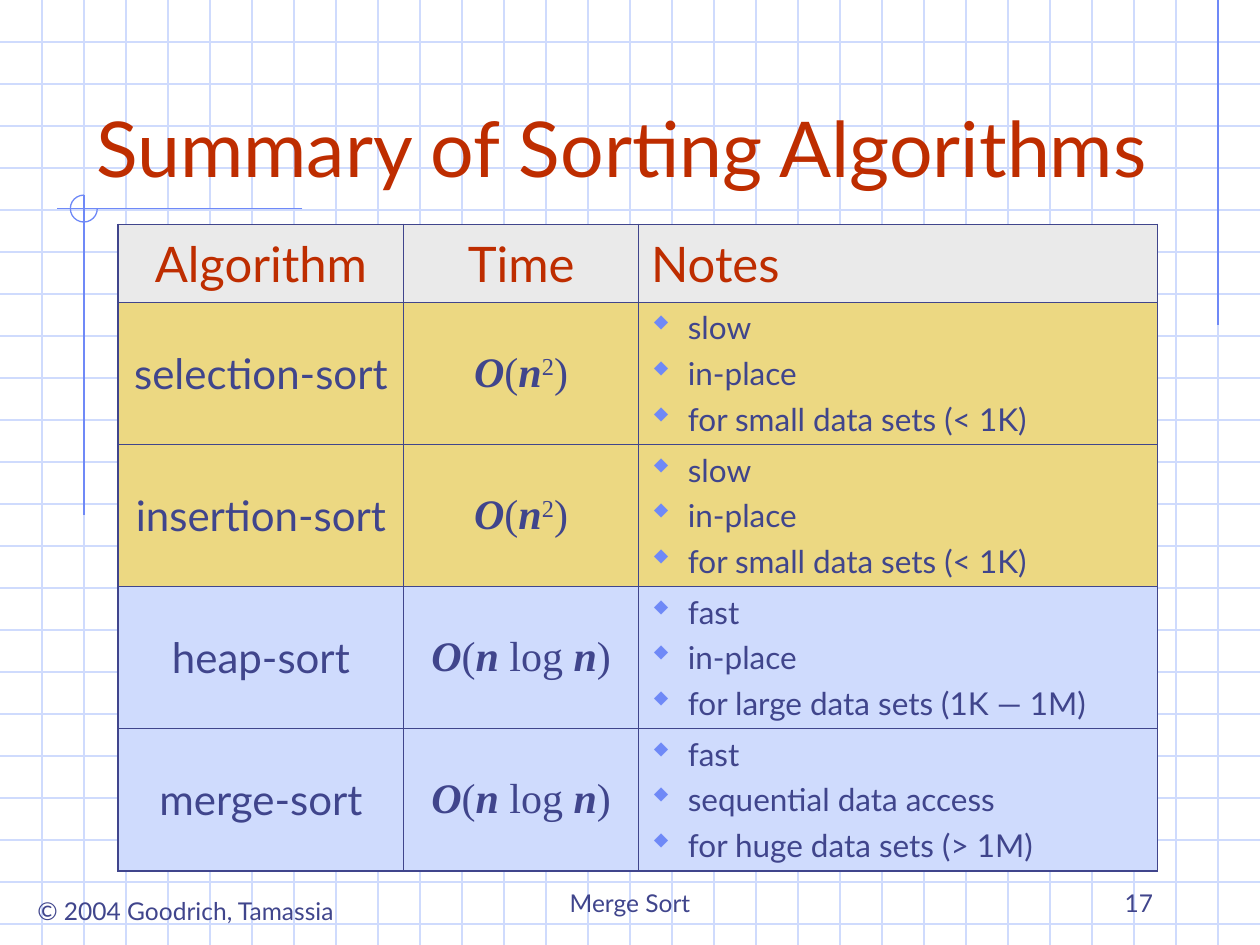
from lxml import etree
from pptx import Presentation
from pptx.dml.color import RGBColor
from pptx.enum import shapes, text
from pptx.oxml import ns
from pptx.util import Pt

INK, RED, BLUE, PALE = "40458C", "BE2D00", "6F89F7", "CFDBFD"
GRAY, GOLD = "EAEAEA", "ECD882"
SANS, SERIF, SIGNS = "Lato", "Times New Roman", "Wingdings"
DIAMOND = "w"
LEFT, MID, RIGHT = text.PP_ALIGN.LEFT, text.PP_ALIGN.CENTER, text.PP_ALIGN.RIGHT
WIDE, HIGH, STEP = 720, 540, 24
THIN, THICK = 0.45, 1.08

HEADS = [("Algorithm", MID), ("Time", MID), ("Notes", LEFT)]
SQUARE = [("O", "bold"), ("(", ""), ("n", "bold"), ("2", "super"), (")", "")]
LOG = [("O", "bold"), ("(", ""), ("n", "bold"), (" log ", ""), ("n", "bold"), (")", "")]
SORTS = [
    ("selection-sort", SQUARE, ["slow", "in-place", "for small data sets (< 1K)"], GOLD),
    ("insertion-sort", SQUARE, ["slow", "in-place", "for small data sets (< 1K)"], GOLD),
    ("heap-sort", LOG, ["fast", "in-place", "for large data sets (1K — 1M)"], PALE),
    ("merge-sort", LOG, ["fast", "sequential data access", "for huge data sets (> 1M)"], PALE),
]
COLS = [163.2, 134.2, 296.6]
ROWS = [44.6] + [81.2] * len(SORTS)
RULES = [(696, 0, 696, 186), (172.8, 119.2, 32.4, 119.2), (48, 111.6, 48, 294.5)]
LABELS = [
    ("© 2004 Goodrich, Tamassia", (8.6, 508.3, 195, 24.5), 14, INK, MID, "top"),
    ("Summary of Sorting Algorithms", (48, 24, 636, 90), 44, RED, LEFT, "bottom"),
    ("Merge Sort", (246, 492, 228, 36), 14, INK, MID, "bottom"),
    ("17", (516, 492, 150, 36), 14, INK, RIGHT, "bottom"),
]


def paint(hue):
    return RGBColor.from_string(hue)


def add(parent, tag, **attrs):
    node = etree.SubElement(parent, ns.qn(tag))
    for key, val in attrs.items():
        node.set(key, str(val))
    return node


def style(para, size, hue, align=LEFT, face=SANS):
    para.alignment = align
    font = para.font
    font.size, font.name = Pt(size), face
    font.color.rgb = paint(hue)


def rule(slide, ends, hue):
    line = slide.shapes.add_connector(shapes.MSO_CONNECTOR.STRAIGHT, *map(Pt, ends))
    line.line.color.rgb = paint(hue)
    line.line.width = Pt(0.75)
    add(line._element.spPr, "a:effectLst")


def backdrop(slide):
    for y in range(STEP, HIGH, STEP):
        rule(slide, (0, y, WIDE, y), PALE)
    for x in range(STEP, WIDE, STEP):
        rule(slide, (x, 0, x, HIGH), PALE)
    for ends in RULES:
        rule(slide, ends, BLUE)
    arc = slide.shapes.add_shape(shapes.MSO_SHAPE.ARC, *map(Pt, (40.2, 111.5, 15.4, 15.4)))
    arc.adjustments[0], arc.adjustments[1] = 0, 162
    arc.shadow.inherit = False
    arc.fill.background()
    arc.line.color.rgb = paint(BLUE)
    arc.line.width = Pt(0.75)


def label(slide, words, place, size, hue, align, anchor):
    frame = slide.shapes.add_textbox(*map(Pt, place)).text_frame
    frame.word_wrap = True
    frame.vertical_anchor = text.MSO_ANCHOR[anchor.upper()]
    frame.text = words
    style(frame.paragraphs[0], size, hue, align)


def formula(para, parts):
    for words, kind in parts:
        run = para.add_run()
        run.text = words
        run.font.bold = run.font.italic = kind == "bold"
        if kind == "super":
            run._r.get_or_add_rPr().set("baseline", "30000")
    style(para, 24, INK, MID, SERIF)


def notes(frame, lines):
    frame.text = "\n".join(lines)
    for i, para in enumerate(frame.paragraphs):
        if i:
            para.space_before = Pt(4.5)
        props = para._p.get_or_add_pPr()
        props.set("marL", str(Pt(21)))
        props.set("indent", str(-Pt(21)))
        add(add(props, "a:buClr"), "a:srgbClr", val=BLUE)
        add(props, "a:buSzPct", val=110000)
        add(props, "a:buFont", typeface=SIGNS, pitchFamily=2, charset=2)
        add(props, "a:buChar", char=DIAMOND)
        style(para, 18, INK)


def dress(cell, hue, row, col):
    cell.vertical_anchor = text.MSO_ANCHOR.MIDDLE
    cell.margin_left = cell.margin_right = Pt(7.2)
    cell.margin_top = cell.margin_bottom = Pt(3.6)
    cell.fill.solid()
    cell.fill.fore_color.rgb = paint(hue)
    heavy = {"L": col == 0, "R": col == len(COLS) - 1,
             "T": row < 2, "B": row in (0, len(ROWS) - 1)}
    props = cell._tc.get_or_add_tcPr()
    for i, (side, bold) in enumerate(heavy.items()):
        edge = add(props, f"a:ln{side}", w=Pt(THICK if bold else THIN))
        add(add(edge, "a:solidFill"), "a:srgbClr", val=INK)
        props.insert(i, edge)


def summary(slide):
    place = (67.5, 128.2, sum(COLS), sum(ROWS))
    grid = slide.shapes.add_table(len(ROWS), len(COLS), *map(Pt, place)).table
    grid.first_row = grid.horz_banding = False
    for col, wide in zip(grid.columns, COLS):
        col.width = Pt(wide)
    for row, high in zip(grid.rows, ROWS):
        row.height = Pt(high)
    for c, (head, align) in enumerate(HEADS):
        cell = grid.cell(0, c)
        cell.text = head
        style(cell.text_frame.paragraphs[0], 28, RED, align)
        dress(cell, GRAY, 0, c)
    for r, (name, time, lines, hue) in enumerate(SORTS, 1):
        cells = [grid.cell(r, c) for c in range(len(COLS))]
        cells[0].text = name
        style(cells[0].text_frame.paragraphs[0], 24, INK, MID)
        formula(cells[1].text_frame.paragraphs[0], time)
        notes(cells[2].text_frame, lines)
        for c, cell in enumerate(cells):
            dress(cell, hue, r, c)


def main():
    deck = Presentation()
    deck.slide_width, deck.slide_height = Pt(WIDE), Pt(HIGH)
    slide = deck.slides.add_slide(deck.slide_layouts[6])
    backdrop(slide)
    for item in LABELS:
        label(slide, *item)
    summary(slide)
    deck.save("out.pptx")


if __name__ == "__main__":
    main()
